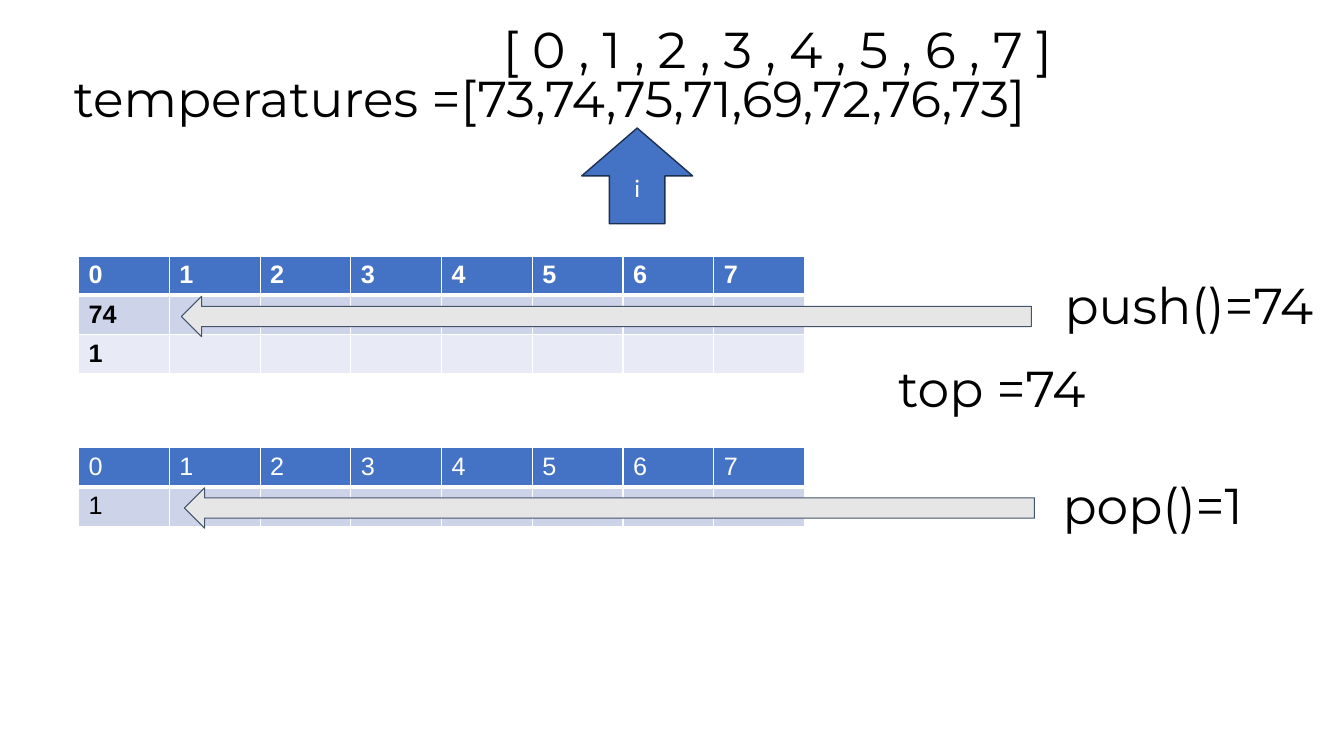
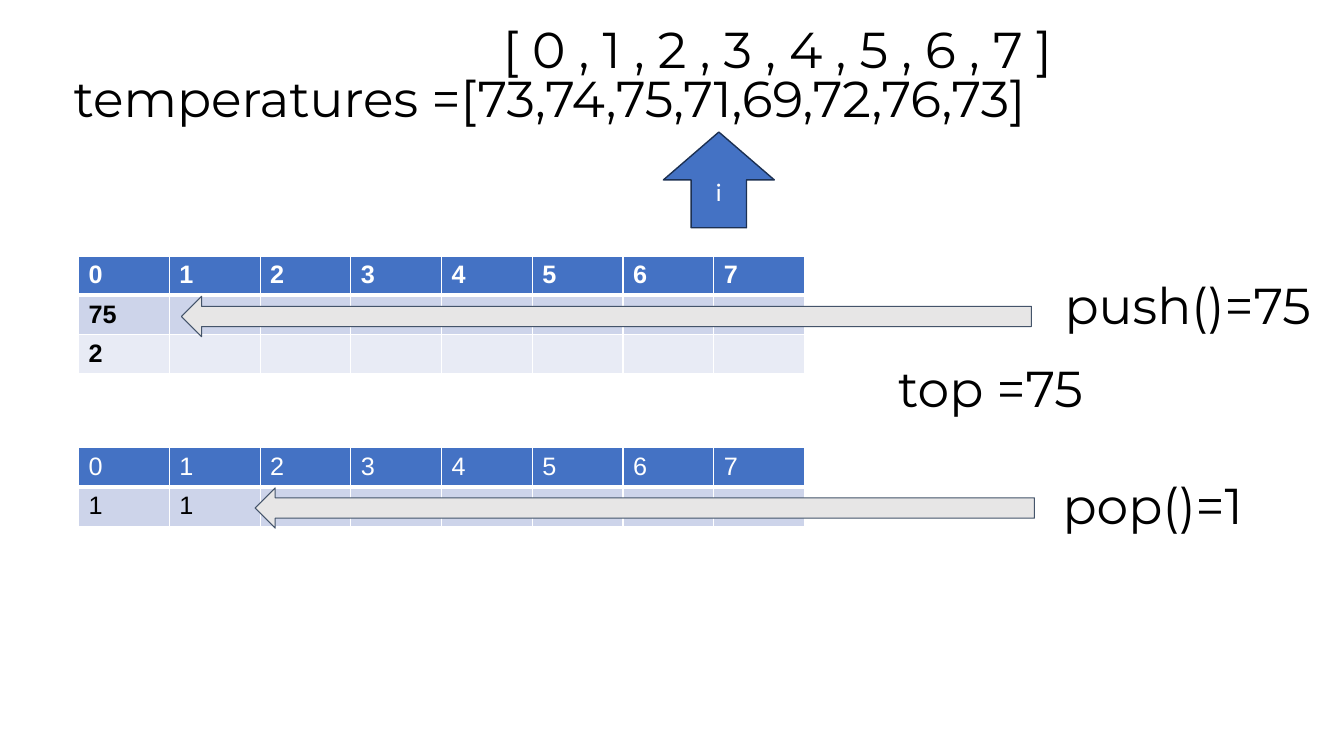
from lxml.etree import SubElement
from pptx import Presentation
from pptx.dml.color import RGBColor
from pptx.enum.shapes import MSO_SHAPE
from pptx.enum.text import MSO_ANCHOR, MSO_AUTO_SIZE, PP_ALIGN
from pptx.oxml.ns import qn
from pptx.util import Inches, Pt

BLUE, NAVY, SLATE, GRAY = "4472C4", "1C3052", "44546A", "E7E6E6"
WHITE, BLACK = "FFFFFF", "000000"
ROW_FILLS = [BLUE, "CDD4EA", "E8EBF5"]
COLUMN_COUNT, COLUMN_WIDTH, ROW_HEIGHT = 8, 0.9, 0.39
TITLE_ONLY_LAYOUT = 5

TEMPERATURES = [73, 74, 75, 71, 69, 72, 76, 73]


def rgb(color):
    return RGBColor.from_string(color)


def write_text(frame, text, size=36, font="Montserrat", color=BLACK, bold=False,
               align=PP_ALIGN.LEFT, anchor=MSO_ANCHOR.TOP, line_spacing=0.9, inset=0.1):
    frame.word_wrap = True
    frame.auto_size = MSO_AUTO_SIZE.NONE
    frame.vertical_anchor = anchor
    frame.margin_left = frame.margin_right = Inches(0.1)
    frame.margin_top = frame.margin_bottom = Inches(inset)
    paragraph = frame.paragraphs[0]
    paragraph.alignment = align
    paragraph.line_spacing = line_spacing
    run = paragraph.add_run()
    run.text = text
    run.font.size, run.font.name, run.font.bold = Pt(size), font, bold
    run.font.color.rgb = rgb(color)


def add_label(slide, left, top, width, height, text):
    box = slide.shapes.add_textbox(Inches(left), Inches(top), Inches(width), Inches(height))
    write_text(box.text_frame, text)


def add_block_arrow(slide, kind, left, top, width, height, fill, line, line_width):
    arrow = slide.shapes.add_shape(
        kind, Inches(left), Inches(top), Inches(width), Inches(height))
    arrow.shadow.inherit = False
    arrow.fill.solid()
    arrow.fill.fore_color.rgb = rgb(fill)
    arrow.line.color.rgb = rgb(line)
    arrow.line.width = Pt(line_width)
    return arrow


def set_borders(cell, **widths):
    """Draw white borders; widths are given in points for L, R, T and B."""
    properties = cell._tc.get_or_add_tcPr()
    for side, width in widths.items():
        line = SubElement(properties, qn(f"a:ln{side}"), w=str(Pt(width)))
        fill = SubElement(line, qn("a:solidFill"))
        SubElement(fill, qn("a:srgbClr"), val=WHITE)


def format_cell(cell, text, row, bold):
    set_borders(cell, L=1, R=1, T=3 if row == 1 else 1, B=3 if row == 0 else 1)
    cell.fill.solid()
    cell.fill.fore_color.rgb = rgb(ROW_FILLS[row])
    cell.margin_left = cell.margin_right = Inches(0.1)
    cell.margin_top = cell.margin_bottom = Inches(0.05)
    paragraph = cell.text_frame.paragraphs[0]
    if text:
        run = paragraph.add_run()
        run.text = text
        run.font.size, run.font.name, run.font.bold = Pt(18), "Arial", bold
        run.font.color.rgb = rgb(BLACK if row else WHITE)
    else:
        # Keeps the height of an empty row equal to that of a filled one
        end = SubElement(paragraph._p, qn("a:endParaRPr"), sz="1800")
        SubElement(end, qn("a:latin"), typeface="Arial")


def add_stack_table(slide, left, top, body_rows, bold):
    rows = [[str(index) for index in range(COLUMN_COUNT)], *body_rows]
    table = slide.shapes.add_table(
        len(rows), COLUMN_COUNT, Inches(left), Inches(top),
        Inches(COLUMN_COUNT * COLUMN_WIDTH), Inches(len(rows) * ROW_HEIGHT)).table
    for row, values in enumerate(rows):
        table.rows[row].height = Inches(ROW_HEIGHT)
        for column in range(COLUMN_COUNT):
            text = values[column] if column < len(values) else ""
            format_cell(table.cell(row, column), text, row, bold)


def add_stack(slide, left, top, body_rows, bold, arrow_span, label, label_offset):
    """Place a table, the arrow into its first body row and the operation label."""
    add_stack_table(slide, left, top, body_rows, bold)
    arrow_left, arrow_right = arrow_span
    add_block_arrow(slide, MSO_SHAPE.LEFT_ARROW, left + arrow_left, top + 0.4,
                    arrow_right - arrow_left, 0.4, GRAY, SLATE, 0.75)
    label_x, label_y = label_offset
    add_label(slide, left + label_x, top + label_y, 2.85, 0.75, label)


def add_header(slide, left, top, pointer_offset):
    """Place the temperature list, its indexes and the pointer below them."""
    title = slide.shapes.title
    title.left, title.top = Inches(left), Inches(top)
    title.width, title.height = Inches(11.68), Inches(1.45)
    values = ",".join(str(value) for value in TEMPERATURES)
    write_text(title.text_frame, f"temperatures =[{values}]",
               anchor=MSO_ANCHOR.MIDDLE, inset=0.05)
    indexes = " , ".join(str(index) for index in range(len(TEMPERATURES)))
    add_label(slide, left + 4.26, top - 0.13, 8.23, 0.57, f"[ {indexes} ]")
    pointer_x, pointer_y = pointer_offset
    pointer = add_block_arrow(slide, MSO_SHAPE.UP_ARROW, left + pointer_x, top + pointer_y,
                              1.1, 0.95, BLUE, NAVY, 1)
    write_text(pointer.text_frame, "i", size=18, font="Calibri", color=WHITE,
               align=PP_ALIGN.CENTER, anchor=MSO_ANCHOR.MIDDLE, line_spacing=1, inset=0.05)


def add_step(presentation, index, pointer_offset, popped, pop_arrow_left):
    """Show the stack after pushing the temperature at the given index."""
    slide = presentation.slides.add_slide(presentation.slide_layouts[TITLE_ONLY_LAYOUT])
    value = str(TEMPERATURES[index])
    add_header(slide, 0.63, 0.28, pointer_offset)
    add_stack(slide, 0.78, 2.54, [[value], [str(index)]], True,
              (1.02, 9.45), f"push()={value}", (9.68, 0.15))
    add_label(slide, 8.81, 3.51, 3.28, 0.75, f"top ={value}")
    add_stack(slide, 0.78, 4.44, [popped], False,
              (pop_arrow_left, 9.48), f"pop()={popped[-1]}", (9.66, 0.23))


def main():
    presentation = Presentation()
    presentation.slide_width, presentation.slide_height = Inches(13.33), Inches(7.5)
    add_step(presentation, 1, (5.14, 0.99), ["1"], 1.05)
    add_step(presentation, 2, (5.95, 1.03), ["1", "1"], 1.75)
    presentation.save("out.pptx")


if __name__ == "__main__":
    main()
